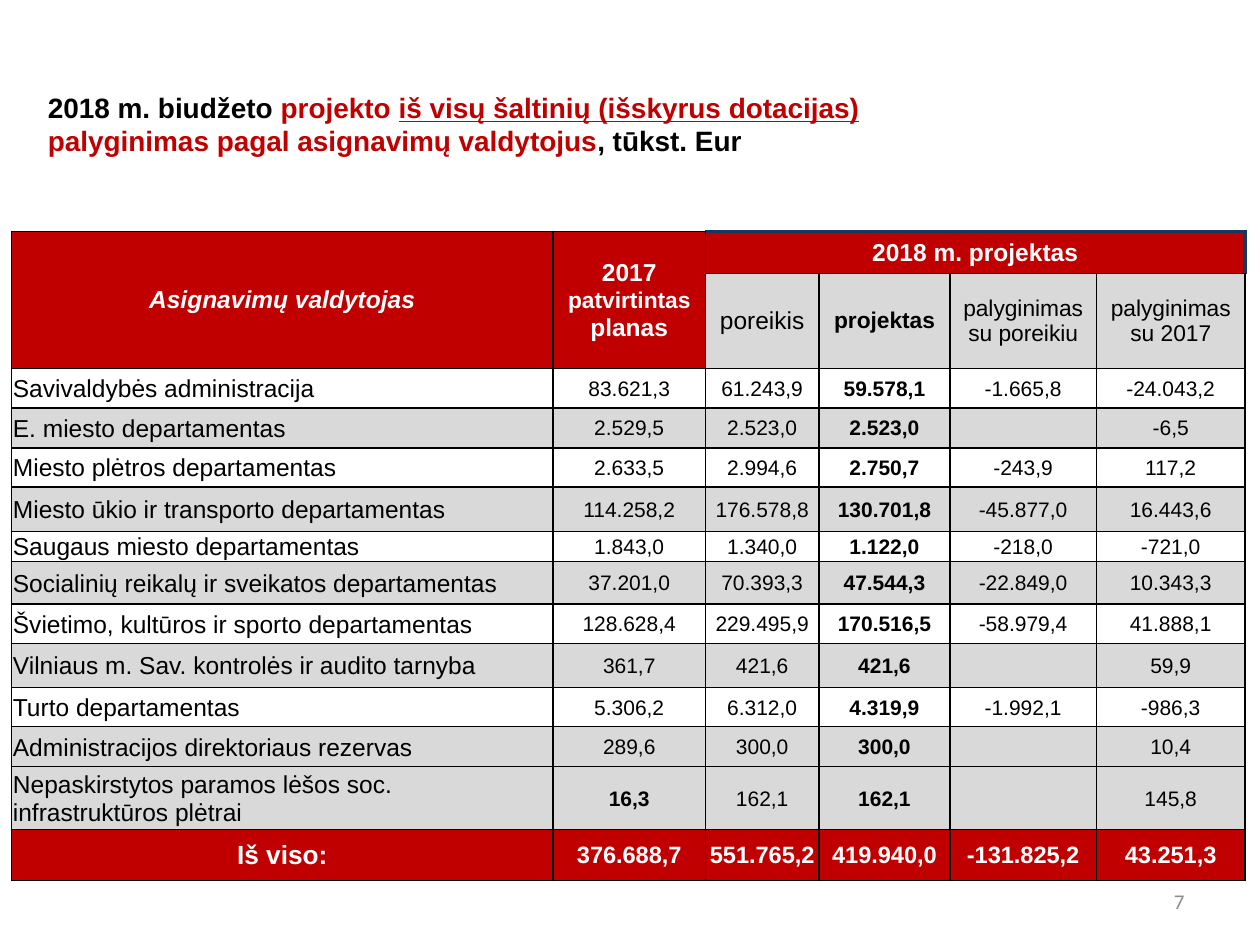
"""Slide comparing the 2018 budget project by appropriation manager."""
from lxml import etree
from pptx import Presentation
from pptx import util as u
from pptx.dml.color import RGBColor
from pptx.enum import text
from pptx.oxml import ns

COLORS = {"red": "C00000", "grey": "D9D9D9", "white": "FFFFFF",
          "black": "000000", "navy": "17375E", "muted": "8C8C8C"}

TITLE = [
    ("2018 m. biudžeto ", {"color": "black"}),
    ("projekto ", {"color": "red"}),
    ("iš visų šaltinių (išskyrus dotacijas)", {"color": "red", "underline": True}),
    (" palyginimas pagal asignavimų valdytojus", {"color": "red"}),
    (", tūkst. Eur", {"color": "black"}),
]
MANAGER = [("Asignavimų valdytojas", {"italic": True})]
PLAN_2017 = [("2017 ", {}), ("patvirtintas", {"size": 13}), (" planas", {})]
PROJECT_2018 = [("2018 m. projektas", {})]
SUBHEADS = [("poreikis", 14, False), ("projektas", 13, True),
            ("palyginimas su poreikiu", 13, False), ("palyginimas su 2017", 13, False)]
BUDGET = [
    ("Savivaldybės administracija", "83.621,3", "61.243,9", "59.578,1", "-1.665,8", "-24.043,2"),
    ("E. miesto departamentas", "2.529,5", "2.523,0", "2.523,0", "", "-6,5"),
    ("Miesto plėtros departamentas", "2.633,5", "2.994,6", "2.750,7", "-243,9", "117,2"),
    ("Miesto ūkio ir transporto departamentas",
     "114.258,2", "176.578,8", "130.701,8", "-45.877,0", "16.443,6"),
    ("Saugaus miesto departamentas", "1.843,0", "1.340,0", "1.122,0", "-218,0", "-721,0"),
    ("Socialinių reikalų ir sveikatos departamentas",
     "37.201,0", "70.393,3", "47.544,3", "-22.849,0", "10.343,3"),
    ("Švietimo, kultūros ir sporto departamentas",
     "128.628,4", "229.495,9", "170.516,5", "-58.979,4", "41.888,1"),
    ("Vilniaus m. Sav. kontrolės ir audito tarnyba", "361,7", "421,6", "421,6", "", "59,9"),
    ("Turto departamentas", "5.306,2", "6.312,0", "4.319,9", "-1.992,1", "-986,3"),
    ("Administracijos direktoriaus rezervas", "289,6", "300,0", "300,0", "", "10,4"),
    ("Nepaskirstytos paramos lėšos soc. infrastruktūros plėtrai",
     "16,3", "162,1", "162,1", "", "145,8"),
]
TOTAL = ("Iš viso:", "376.688,7", "551.765,2", "419.940,0", "-131.825,2", "43.251,3")

WIDTHS = [10.92, 3.07, 2.29, 2.64, 2.95, 3.0]
HEIGHTS = [0.84, 1.35, 0.79, 0.81, 0.79, 0.89, 0.61, 0.86, 0.79, 0.89, 0.79, 0.79, 1.27, 1.02]
FIRST_BODY_ROW = 2
PROJECT_COLUMN = 3
CENTER, LEFT, RIGHT = text.PP_ALIGN.CENTER, text.PP_ALIGN.LEFT, text.PP_ALIGN.RIGHT


def style(run, size, color, bold=False, italic=False, underline=False, font="Arial"):
    run.font.name, run.font.size = font, u.Pt(size)
    run.font.bold, run.font.italic, run.font.underline = bold, italic, underline
    run.font.color.rgb = RGBColor.from_string(COLORS[color])


def write(frame, parts, align, **defaults):
    paragraph = frame.paragraphs[0]
    paragraph.alignment = align
    for words, changes in parts:
        run = paragraph.add_run()
        run.text = words
        style(run, **{**defaults, **changes})


def draw_border(cell, side, color, width):
    line = etree.SubElement(cell._tc.get_or_add_tcPr(), ns.qn(f"a:ln{side}"), w=str(u.Pt(width)))
    solid = etree.SubElement(line, ns.qn("a:solidFill"))
    etree.SubElement(solid, ns.qn("a:srgbClr"), val=COLORS[color])


def dress(cell, fill, navy_sides=""):
    for side in "LRTB":
        draw_border(cell, side, *(("navy", 2.25) if side in navy_sides else ("black", 1)))
    cell.fill.solid()
    cell.fill.fore_color.rgb = RGBColor.from_string(COLORS[fill])
    cell.vertical_anchor = text.MSO_ANCHOR.MIDDLE


def fill_head(budget):
    for column in range(len(WIDTHS)):
        grouped = column >= 2
        dress(budget.cell(0, column), "red", "TR" if grouped else "")
        dress(budget.cell(1, column), "grey" if grouped else "red")
    for column, parts in enumerate([MANAGER, PLAN_2017, PROJECT_2018]):
        end = (0, len(WIDTHS) - 1) if column == 2 else (1, column)
        budget.cell(0, column).merge(budget.cell(*end))
        write(budget.cell(0, column).text_frame, parts, CENTER, size=14, color="white", bold=True)
    for column, (words, size, bold) in enumerate(SUBHEADS, 2):
        write(budget.cell(1, column).text_frame, [(words, {})], CENTER,
              size=size, color="black", bold=bold)


def fill_row(budget, row, values, fill, looks):
    for column, value in enumerate(values):
        cell = budget.cell(row, column)
        dress(cell, fill)
        cell.margin_left = cell.margin_right = cell.margin_top = u.Cm(0.03)
        cell.margin_bottom = 0
        if value:
            write(cell.text_frame, [(value, {})], **looks(column, value))


def body_looks(column, value):
    if column == 0:
        return {"align": LEFT, "size": 14, "color": "black"}
    bold = column == PROJECT_COLUMN or value == "16,3"
    return {"align": CENTER, "size": 12, "color": "black", "bold": bold}


def total_looks(column, value):
    return {"align": CENTER, "size": 13.5 if column else 15, "color": "white", "bold": True}


def add_budget(slide):
    budget = slide.shapes.add_table(len(HEIGHTS), len(WIDTHS), u.Cm(0.23), u.Cm(4.67),
                                    u.Cm(sum(WIDTHS)), u.Cm(sum(HEIGHTS))).table
    budget.first_row = budget.horz_banding = False
    for column, width in zip(budget.columns, WIDTHS):
        column.width = u.Cm(width)
    for row, height in zip(budget.rows, HEIGHTS):
        row.height = u.Cm(height)
    fill_head(budget)
    last = len(BUDGET) - 1
    for index, values in enumerate(BUDGET):
        fill = "grey" if index % 2 or index == last else "white"
        fill_row(budget, FIRST_BODY_ROW + index, values, fill, body_looks)
    fill_row(budget, len(HEIGHTS) - 1, TOTAL, "red", total_looks)


def add_title(slide):
    title = slide.shapes.title
    title.left, title.top, title.width, title.height = map(u.Cm, (0.71, 1.52, 20.12, 1.96))
    frame = title.text_frame
    frame.word_wrap, frame.auto_size = True, text.MSO_AUTO_SIZE.NONE
    frame.vertical_anchor = text.MSO_ANCHOR.MIDDLE
    write(frame, TITLE, LEFT, size=16, color="black", bold=True)


def add_page_number(slide):
    frame = slide.shapes.add_textbox(*map(u.Cm, (18.21, 17.65, 5.92, 1.02))).text_frame
    frame.word_wrap, frame.vertical_anchor = True, text.MSO_ANCHOR.MIDDLE
    write(frame, [("7", {})], RIGHT, size=12, color="muted", font="Calibri")


def main():
    deck = Presentation()
    deck.slide_width, deck.slide_height = u.Cm(25.4), u.Cm(19.05)
    slide = deck.slides.add_slide(deck.slide_layouts[5])
    add_budget(slide)
    add_title(slide)
    add_page_number(slide)
    deck.save("out.pptx")


if __name__ == "__main__":
    main()
